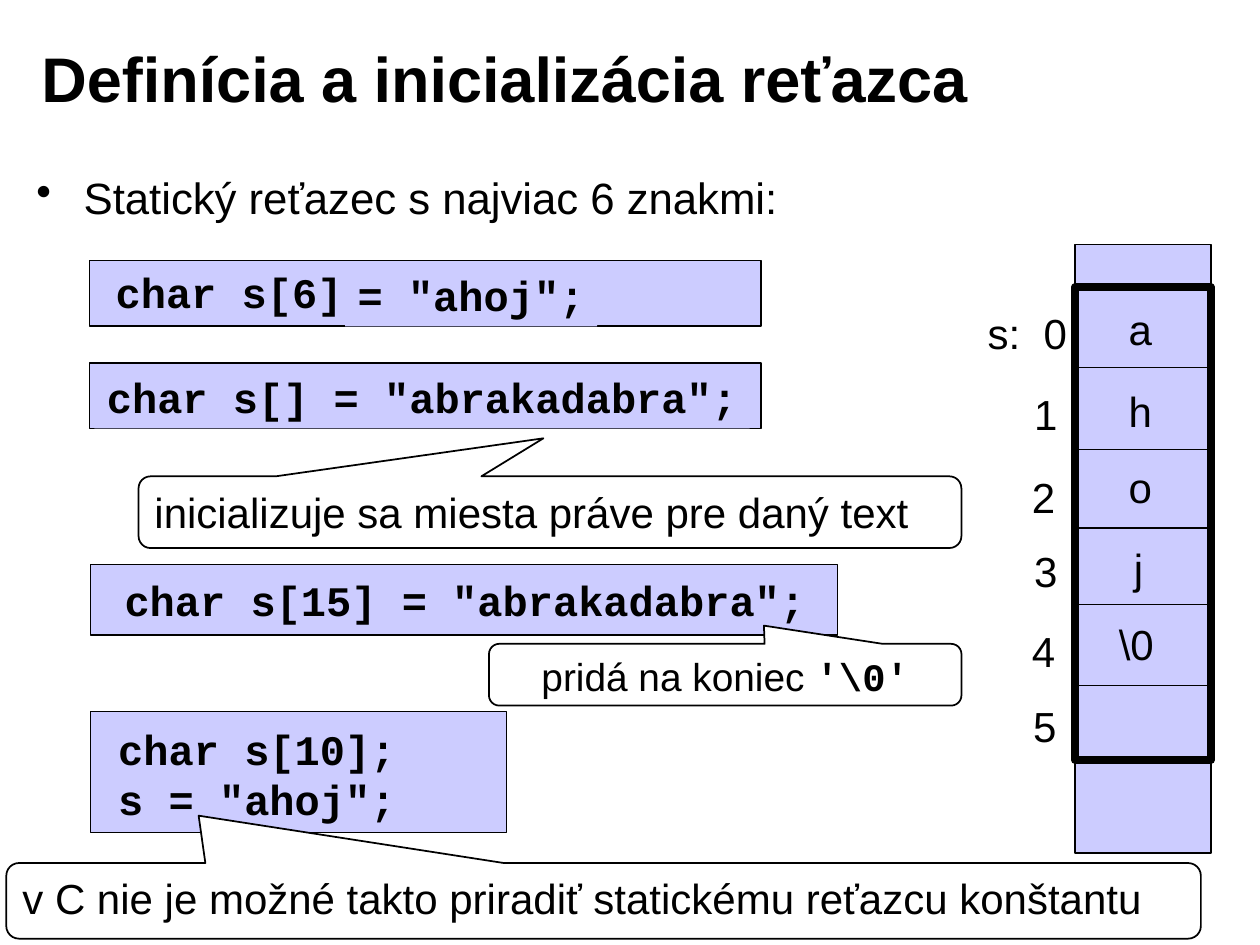
"""Build the slide on defining and initialising a C string."""
from lxml.etree import SubElement
from pptx import Presentation
from pptx.dml.color import RGBColor
from pptx.enum.shapes import MSO_CONNECTOR, MSO_SHAPE
from pptx.enum.text import MSO_ANCHOR, PP_ALIGN
from pptx.oxml.ns import qn
from pptx.util import Pt

BLACK = RGBColor(0x00, 0x00, 0x00)
WHITE = RGBColor(0xFF, 0xFF, 0xFF)
LAVENDER = RGBColor(0xCC, 0xCC, 0xFF)

BODY = {"name": "Arial", "size": Pt(24), "bold": False}
HEADING = BODY | {"size": Pt(36), "bold": True}
TOPIC = BODY | {"size": Pt(25)}
CODE = BODY | {"name": "Courier New", "bold": True}
REMARK = BODY | {"size": Pt(22.2)}
REMARK_CODE = CODE | {"size": Pt(22.2)}

TITLE = "Definícia a inicializácia reťazca"
BULLET = "Statický reťazec s najviac 6 znakmi:"

PANELS = [
    (51.1, 149, 383.8, 37.4),
    (51.1, 207.4, 383.8, 37.4),
    (51.8, 322.6, 427, 40.3),
    (51.8, 406.8, 237.6, 69.1),
]
SNIPPETS = [
    (["char s[6]"], 59, 149, None),
    (['= "ahoj";'], 197.3, 150.5, LAVENDER),
    (['char s[] = "abrakadabra";'], 54, 208.8, LAVENDER),
    (['char s[15] = "abrakadabra";'], 64.1, 324.7, LAVENDER),
    (["char s[10];", 's = "ahoj";'], 60.5, 409.7, None),
]
CODE_ADVANCE, CODE_LINE = 14.4, 28.8

CALLOUTS = [
    ([("inicializuje sa miesta práve pre daný text", BODY)],
     (79.2, 272.2, 470.2, 41), (-0.008, -1.03, 0.167), PP_ALIGN.LEFT),
    ([("pridá na koniec ", REMARK), ("'\\0'", REMARK_CODE)],
     (279.4, 367.9, 270, 35.3), (0.082, -0.795, 0.167), PP_ALIGN.CENTER),
    ([("v C nie je možné takto priradiť statickému reťazcu konštantu", BODY)],
     (3.6, 493.2, 682.6, 43.2), (-0.339, -1.127, 0.167), PP_ALIGN.LEFT),
]

MEMORY = (614.2, 139.7, 77.8, 347.8)
ARRAY = (614.2, 164.2, 77.8, 270)
DIVIDERS = [210.2, 257, 301.7, 345.6, 391.7]
CHARACTERS = [("a", 637.9, 169.9), ("h", 637.9, 216.7), ("o", 637.9, 259.9),
              ("j", 640.8, 306.7), ("\\0", 632.2, 349.9)]
INDEXES = [("1", 583.9, 218.2), ("2", 582.5, 265.7), ("3", 583.9, 308.2),
           ("4", 582.5, 354.2), ("5", 583.2, 396.7)]
FIRST_INDEX = ("s:\t0", 557.3, 172.1)
CELL_HEIGHT = 36


def write(shape, paragraphs, align=PP_ALIGN.LEFT, anchor=MSO_ANCHOR.TOP, wrap=True):
    frame = shape.text_frame
    frame.word_wrap = wrap
    frame.vertical_anchor = anchor
    for position, runs in enumerate(paragraphs):
        paragraph = frame.add_paragraph() if position else frame.paragraphs[0]
        paragraph.alignment = align
        for wording, style in runs:
            run = paragraph.add_run()
            run.text = wording
            for attribute, value in style.items():
                setattr(run.font, attribute, value)
            run.font.color.rgb = BLACK
    return frame.paragraphs[0]


def add_text(slide, box, runs, **options):
    return write(slide.shapes.add_textbox(*map(Pt, box)), [runs], **options)


def add_block(slide, preset, box, fill=None, line_width=None):
    block = slide.shapes.add_shape(preset, *map(Pt, box))
    block.shadow.inherit = False
    if fill is None:
        block.fill.background()
    else:
        block.fill.solid()
        block.fill.fore_color.rgb = fill
    if line_width is None:
        block.line.fill.background()
    else:
        block.line.color.rgb = BLACK
        block.line.width = Pt(line_width)
    return block


def add_divider(slide, y):
    left, _, width, _ = ARRAY
    divider = slide.shapes.add_connector(
        MSO_CONNECTOR.STRAIGHT, Pt(left), Pt(y), Pt(left + width), Pt(y))
    divider.line.color.rgb = BLACK
    divider.line.width = Pt(0.75)
    SubElement(divider.element.spPr, qn("a:effectLst"))


def add_bullet(paragraph, indent):
    properties = paragraph._p.get_or_add_pPr()
    properties.set("marL", str(Pt(indent)))
    properties.set("indent", str(-Pt(indent)))
    colour = SubElement(properties, qn("a:buClr"))
    SubElement(colour, qn("a:srgbClr"), val=str(BLACK))
    SubElement(properties, qn("a:buChar"), char="•")


def add_tab(paragraph, stop):
    stops = SubElement(paragraph._p.get_or_add_pPr(), qn("a:tabLst"))
    SubElement(stops, qn("a:tab"), pos=str(Pt(stop)), algn="l")


def draw_memory(slide):
    add_block(slide, MSO_SHAPE.RECTANGLE, MEMORY, LAVENDER, 0.75)
    add_block(slide, MSO_SHAPE.RECTANGLE, ARRAY, line_width=4.5)
    for y in DIVIDERS:
        add_divider(slide, y)
    for labels, width in ((CHARACTERS, 54), (INDEXES, 30.2)):
        for label, left, top in labels:
            add_text(slide, (left, top, width, CELL_HEIGHT), [(label, BODY)])
    label, left, top = FIRST_INDEX
    add_tab(add_text(slide, (left, top, 66.2, CELL_HEIGHT), [(label, BODY)]), 32)


def draw_code(slide):
    for panel in PANELS:
        add_block(slide, MSO_SHAPE.RECTANGLE, panel, LAVENDER, 0.75)
    for lines, left, top, fill in SNIPPETS:
        width = CODE_ADVANCE * (max(map(len, lines)) + 1)
        box = (left, top, width, CODE_LINE * len(lines) + 7.2)
        snippet = add_block(slide, MSO_SHAPE.RECTANGLE, box, fill)
        write(snippet, [[(line, CODE)] for line in lines], wrap=False)


def draw_callouts(slide):
    for runs, box, adjustments, align in CALLOUTS:
        callout = add_block(
            slide, MSO_SHAPE.ROUNDED_RECTANGULAR_CALLOUT, box, WHITE, 1)
        for position, value in enumerate(adjustments):
            callout.adjustments[position] = value
        write(callout, [runs], align)


def main():
    presentation = Presentation()
    presentation.slide_width, presentation.slide_height = Pt(720), Pt(540)
    slide = presentation.slides.add_slide(presentation.slide_layouts[6])
    add_text(slide, (16.6, 10.8, 578.2, 67), [(TITLE, HEADING)],
             anchor=MSO_ANCHOR.MIDDLE)
    add_bullet(add_text(slide, (13.7, 94.3, 540.7, 51.1), [(BULLET, TOPIC)]), 27)
    draw_memory(slide)
    draw_code(slide)
    draw_callouts(slide)
    presentation.save("out.pptx")


if __name__ == "__main__":
    main()
